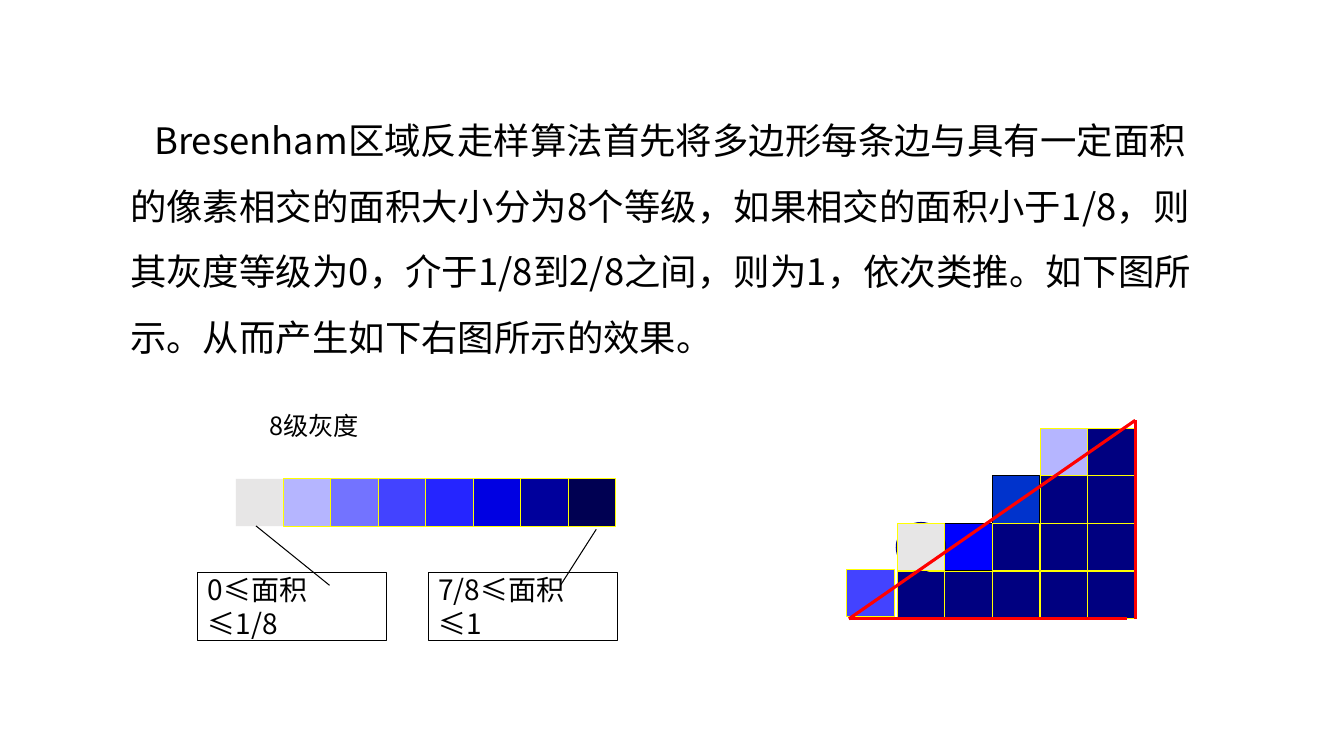
import pptx
import pptx.util
import pptx.dml.color
import pptx.enum.shapes
import pptx.enum.text
import pptx.oxml.ns
import lxml.etree

Inches = pptx.util.Inches
Pt = pptx.util.Pt
KIND = pptx.enum.shapes.MSO_SHAPE
ALIGN = pptx.enum.text.PP_ALIGN
ANCHOR = pptx.enum.text.MSO_ANCHOR

FONT = "Noto Sans CJK SC"
HUES = {
    "black": "000000", "yellow": "FFFF00", "red": "FF0000", "navy": "000080",
    "grey": "E7E6E6", "pale": "B5B5FF", "mid": "4343FF",
    "royal": "0033CC", "blue": "0000FF",
    "tint2": "7373FF", "tint4": "2525FF", "tint5": "0000E2",
    "tint6": "00009C", "tint7": "000052",
}
BODY = ("Bresenham区域反走样算法首先将多边形每条边与具有一定面积的像素相交的面积大小"
        "分为8个等级，如果相交的面积小于1/8，则其灰度等级为0，介于1/8到2/8之间，则为1，"
        "依次类推。如下图所示。从而产生如下右图所示的效果。")
LABEL = "8级灰度"
SCALE = ["grey", "pale", "tint2", "mid", "tint4", "tint5", "tint6", "tint7"]
# text, left edge, tip of the leader as shares of height and width
NOTES = [("0≤面积≤1/8", 1.96, (-0.69, 0.31)),
         ("7/8≤面积≤1", 4.25, (-0.64, 0.89))]
# first column, fill and outline of the edge cell; navy fills the rest
STAIRS = [(3, "pale", "yellow"), (2, "royal", "black"),
          (1, "blue", "black"), (0, "navy", "yellow")]
COLS = 5
LEFT, RIGHT, TOP, BASE = 8.9, 11.26, 4.25, 6.14
STEP = (RIGHT - LEFT) / COLS
SIDE = 0.47
BAR_LEFT, BAR_RIGHT, BAR_TOP = 2.34, 6.11, 4.75
TIP = (RIGHT, 4.17)
FOOT = (8.42, BASE)
EDGES = [(FOOT, (11.18, BASE)), ((RIGHT, BASE), TIP)]


def color(name):
    return pptx.dml.color.RGBColor.from_string(HUES[name])


def write(frame, text, size):
    frame.word_wrap = True
    para = frame.paragraphs[0]
    para.text = text
    para.alignment = ALIGN.LEFT
    para.space_before = Pt(0)
    font = para.runs[0].font
    font.name = FONT
    font.size = Pt(size)
    font.color.rgb = color("black")
    # East Asian glyphs take their font from a:ea
    east = lxml.etree.SubElement(font._element, pptx.oxml.ns.qn("a:ea"))
    east.set("typeface", FONT)
    return para


def draw(home, kind, box, fill=None, edge=None, width=0.75):
    shape = home.add_shape(kind, *map(Inches, box))
    shape.shadow.inherit = False
    if fill:
        shape.fill.solid()
        shape.fill.fore_color.rgb = color(fill)
    else:
        shape.fill.background()
    if edge:
        shape.line.color.rgb = color(edge)
        shape.line.width = Pt(width)
    else:
        shape.line.fill.background()
    return shape


def cell(home, left, top, fill, edge="yellow"):
    draw(home, KIND.RECTANGLE, (left, top, SIDE, SIDE), fill, edge)


def rule(home, start, end):
    line = home.add_connector(pptx.enum.shapes.MSO_CONNECTOR.STRAIGHT,
                              *map(Inches, start + end))
    line.line.color.rgb = color("red")
    line.line.width = Pt(2.25)
    lxml.etree.SubElement(line._element.spPr, pptx.oxml.ns.qn("a:effectLst"))


def add_body(slide):
    title = slide.shapes.title._element
    title.getparent().remove(title)
    body = slide.placeholders[1]
    body.left, body.top, body.width, body.height = map(
        Inches, (1.19, 0.91, 10.95, 3.12))
    frame = body.text_frame
    frame.auto_size = pptx.enum.text.MSO_AUTO_SIZE.NONE
    frame.vertical_anchor = ANCHOR.TOP
    para = write(frame, BODY, 26)
    para.line_spacing = 1.5
    para._p.get_or_add_pPr().set("indent", str(Inches(0.24)))


def add_scale(shapes):
    group = shapes.add_group_shape().shapes
    step = (BAR_RIGHT - BAR_LEFT) / len(SCALE)
    for i, fill in enumerate(SCALE):
        cell(group, BAR_LEFT + i * step, BAR_TOP, fill, "yellow" if i else None)
    label = group.add_textbox(*map(Inches, (2.57, 4.02, 2.91, 0.57)))
    write(label.text_frame, LABEL, 18)


def add_notes(shapes):
    for text, left, tip in NOTES:
        note = draw(shapes, KIND.LINE_CALLOUT_2, (left, 5.68, 1.87, 0.67),
                    edge="black")
        for i, value in enumerate((0.19, 0.7, 0.19, 0.7) + tip):
            note.adjustments[i] = value
        note.text_frame.vertical_anchor = ANCHOR.MIDDLE
        write(note.text_frame, text, 20)


def add_stairs(shapes):
    group = shapes.add_group_shape().shapes
    for row, (first, fill, edge) in enumerate(STAIRS):
        top = TOP + row * STEP
        cell(group, LEFT + first * STEP, top, fill, edge)
        for col in range(first + 1, COLS):
            cell(group, LEFT + col * STEP, top, "navy")
    for start, end in EDGES:
        rule(group, start, end)
    low = TOP + 2 * STEP
    draw(group, KIND.OVAL, (LEFT, low, SIDE, SIDE), edge="navy", width=2.25)
    cell(group, 8.4, 5.65, "mid")
    cell(group, LEFT, low, "grey")
    rule(group, FOOT, TIP)


def main():
    deck = pptx.Presentation()
    deck.slide_width = Inches(13.33)
    deck.slide_height = Inches(7.5)
    slide = deck.slides.add_slide(deck.slide_layouts[0])
    add_body(slide)
    add_scale(slide.shapes)
    add_notes(slide.shapes)
    add_stairs(slide.shapes)
    deck.save("out.pptx")


if __name__ == "__main__":
    main()
